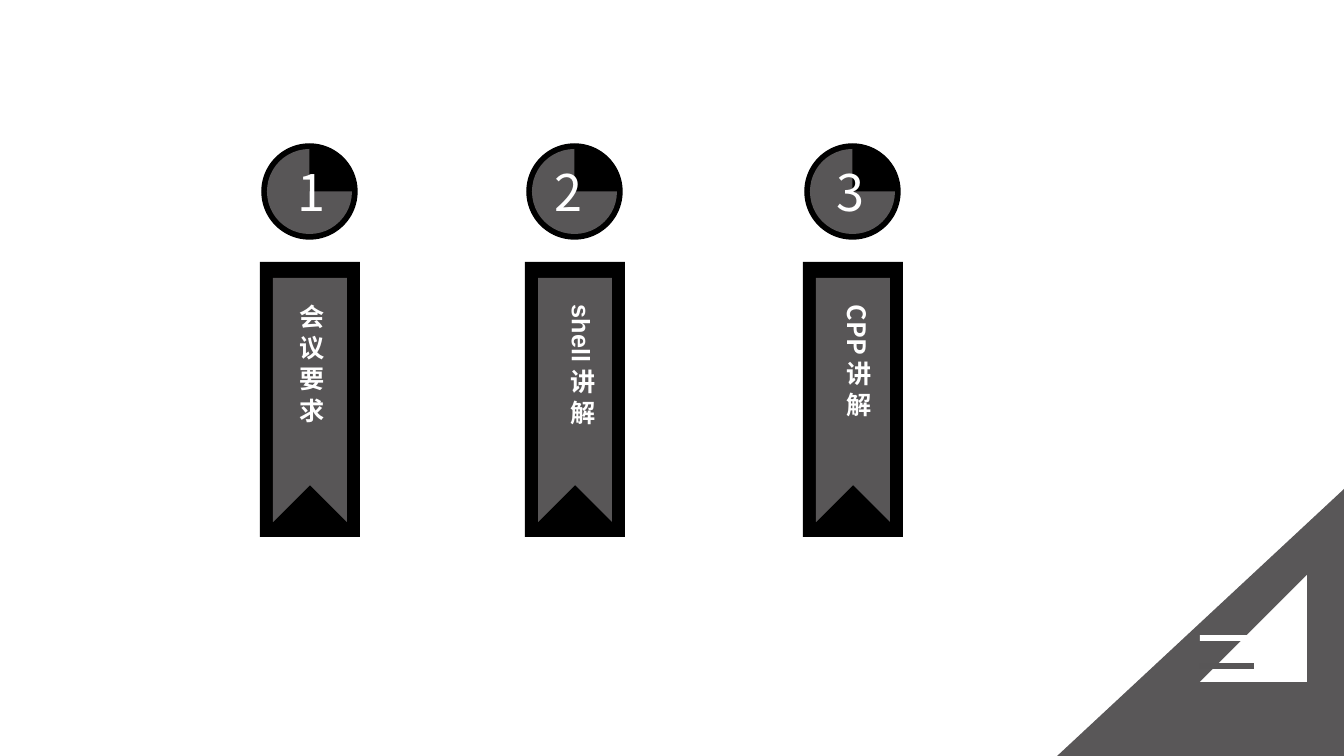
import pptx
import pptx.util
import pptx.dml.color
import pptx.enum.shapes
import pptx.enum.text
import pptx.oxml.ns
import lxml.etree

PX = 914400 / 100.8
SHAPES = pptx.enum.shapes.MSO_SHAPE
COLORS = {"black": "000000", "gray": "585657", "corner": "595758", "white": "FFFFFF"}
CJK_FONT = "Noto Sans CJK SC"
NUMBER_FORMAT = {"size": pptx.util.Pt(36), "name": CJK_FONT}
LABEL_FORMAT = {"size": pptx.util.Pt(18), "bold": True}

# Banner left, number, number offset, label, label font, label box within the banner
BANNERS = [
    (260, "1", 28, "会 议 要 求", "Arial", (21, 151, 50, 170)),
    (525, "2", 20, "shell 讲 解", "Arial", (27, 152, 50, 190)),
    (803, "3", 24, "CPP 讲 解", CJK_FONT, (25, 152, 50, 159)),
]
BANNER_TOP = 143


def emu(*lengths):
    return [pptx.util.Emu(round(length * PX)) for length in lengths]


def color(name):
    return pptx.dml.color.RGBColor.from_string(COLORS[name])


def add_filled(slide, kind, box, fill, rotation=0, outlined=False):
    shape = slide.shapes.add_shape(kind, *emu(*box))
    shape.shadow.inherit = False
    shape.rotation = rotation
    shape.fill.solid()
    shape.fill.fore_color.rgb = color(fill)
    if outlined:
        shape.line.color.rgb = color(fill)
        shape.line.width = pptx.util.Pt(1)
    else:
        shape.line.fill.background()


def add_text(slide, box, text, values, vertical=False):
    frame = slide.shapes.add_textbox(*emu(*box)).text_frame
    frame.word_wrap = True
    frame.auto_size = pptx.enum.text.MSO_AUTO_SIZE.SHAPE_TO_FIT_TEXT
    if vertical:
        frame._txBody.bodyPr.set("vert", "eaVert")
    run = frame.paragraphs[0].add_run()
    run.text = text
    for name, value in values.items():
        setattr(run.font, name, value)
    run.font.color.rgb = color("white")
    # East Asian typeface
    east_asian = lxml.etree.SubElement(run._r.get_or_add_rPr(), pptx.oxml.ns.qn("a:ea"))
    east_asian.set("typeface", CJK_FONT)


def add_banner(slide, left, top, number, number_offset, label, label_font, label_box):
    # Numbered disc
    add_filled(slide, SHAPES.OVAL, (left + 2, top + 1, 95, 95), "black", outlined=True)
    # The default pie angles leave the upper right quarter open
    add_filled(slide, SHAPES.PIE, (left + 7, top + 6, 85, 85), "gray")
    add_text(slide, (left + number_offset, top + 13, 43, 72), number, NUMBER_FORMAT)
    # Ribbon with a notch
    add_filled(slide, SHAPES.RECTANGLE, (left, top + 119, 100, 275), "black")
    add_filled(slide, SHAPES.RECTANGLE, (left + 13, top + 135, 74, 244), "gray")
    add_filled(slide, SHAPES.RIGHT_TRIANGLE, (left + 24, top + 353, 52, 52), "black", 135)
    # Vertical label
    x, y, width, height = label_box
    add_text(slide, (left + x, top + y, width, height), label,
             {**LABEL_FORMAT, "name": label_font}, vertical=True)


def add_corner(slide, left, top, width, height):
    # A quarter turn swaps the sides around the centre of the box
    shift = (width - height) // 2
    add_filled(slide, SHAPES.RIGHT_TRIANGLE,
               (left + shift, top - shift, height, width), "corner", 270)
    # Striped white triangle
    add_filled(slide, SHAPES.RIGHT_TRIANGLE, (left + 144, top + 86, 107, 107), "white", 270)
    for offset, fill in ((174, "gray"), (146, "white")):
        add_filled(slide, SHAPES.RECTANGLE, (left + 144, top + offset, 54, 6), fill)


def main():
    presentation = pptx.Presentation()
    presentation.slide_width, presentation.slide_height = emu(1344, 756)
    slide = presentation.slides.add_slide(presentation.slide_layouts[6])
    for left, *content in BANNERS:
        add_banner(slide, left, BANNER_TOP, *content)
    add_corner(slide, 1056, 489, 288, 268)
    presentation.save("out.pptx")


if __name__ == "__main__":
    main()
